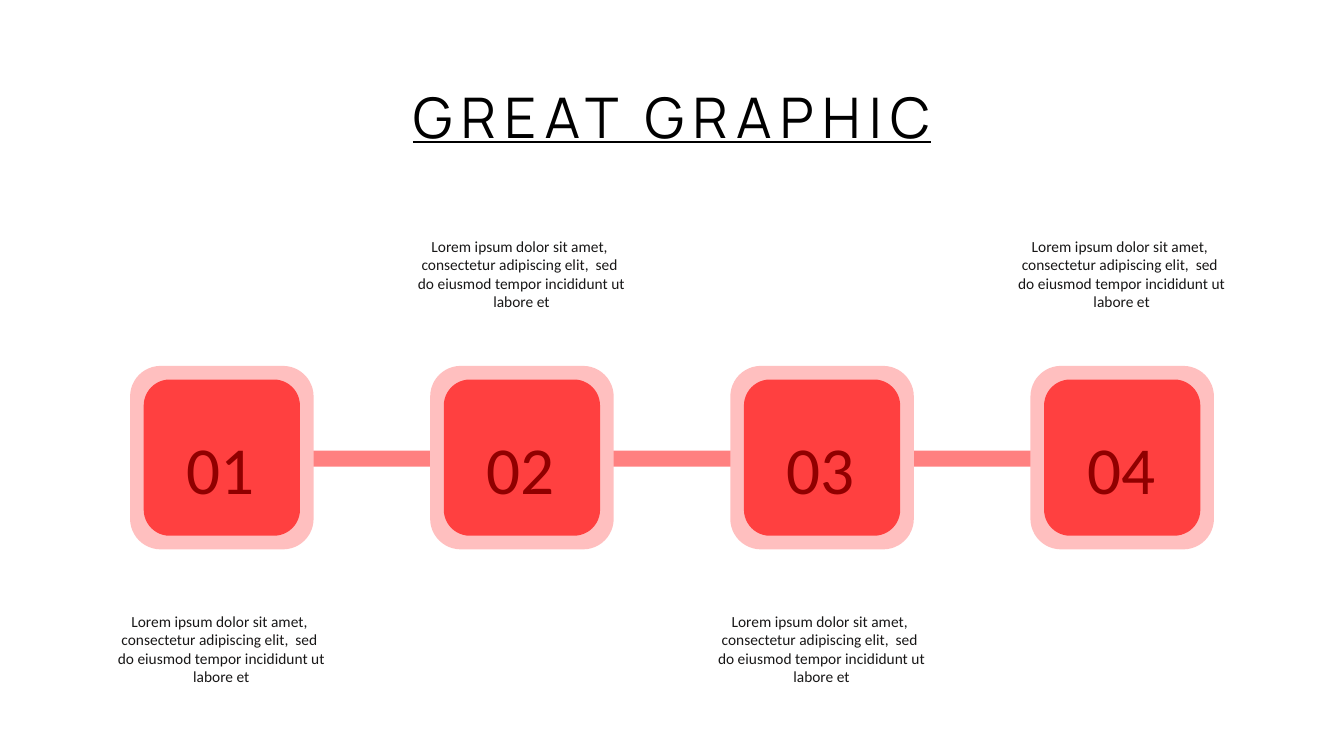
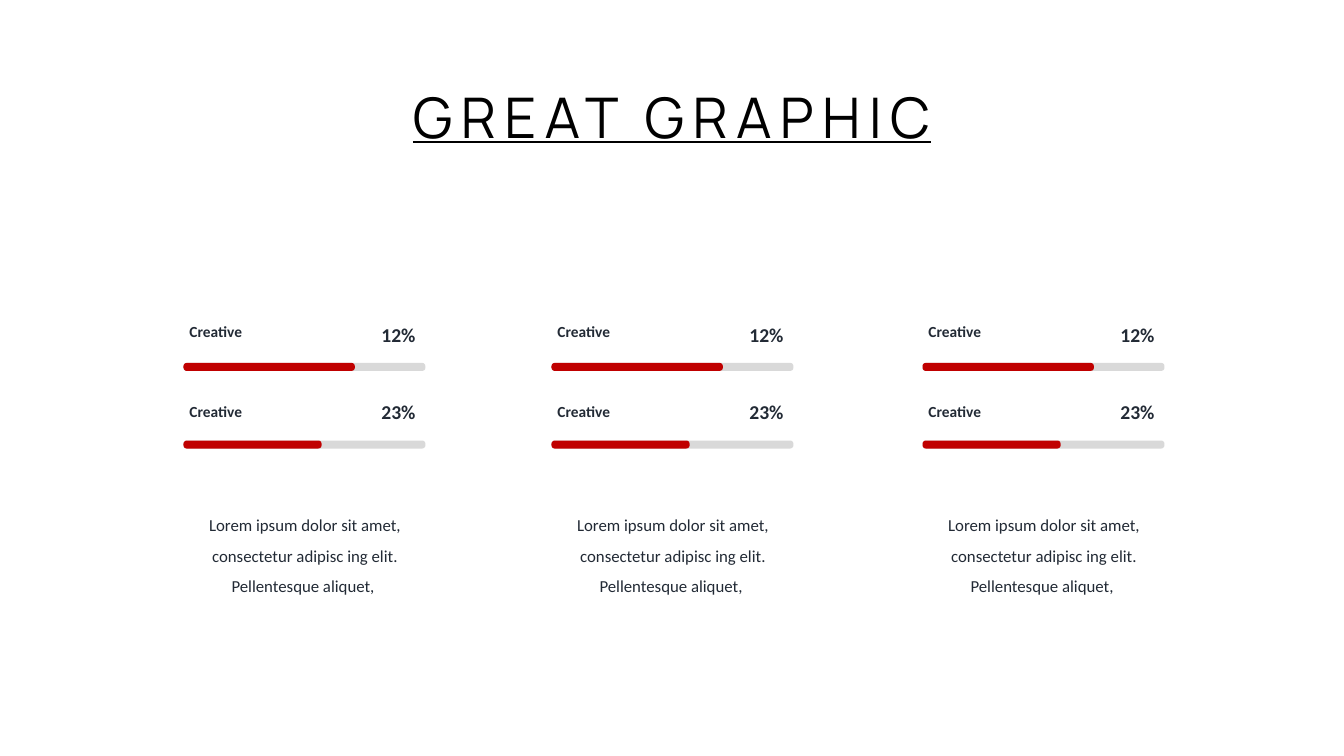
from pptx import Presentation
from pptx.dml.color import RGBColor
from pptx.enum.shapes import MSO_SHAPE as SHAPE
from pptx.enum.text import MSO_AUTO_SIZE as AUTO, PP_ALIGN as ALIGN
from pptx.util import Inches, Pt

BODY_FONT = "Calibri"
TITLE_FONT = "Manrope"
BLACK = "000000"
CAPTION = "181717"
SLATE = "222A35"
NUMBER = "900000"
LINK = "FF8080"
CARD_EDGE = "FFBFBF"
CARD = "FF4040"
TRACK = "D9D9D9"
PROGRESS = "C00000"

STEP_TEXT = [
    "Lorem ipsum dolor sit amet, ",
    "consectetur adipiscing elit,  sed ",
    "do eiusmod tempor incididunt ut",
    "labore et",
]
COLUMN_TEXT = "Lorem ipsum dolor sit amet, consectetur adipisc ing elit. Pellentesque aliquet, "


def rgb(color):
    return RGBColor.from_string(color)


def add_box(s, shape, x, y, w, h, color):
    sp = s.shapes.add_shape(shape, Inches(x), Inches(y), Inches(w), Inches(h))
    sp.shadow.inherit = False
    sp.fill.solid()
    sp.fill.fore_color.rgb = rgb(color)
    sp.line.fill.background()
    return sp


def add_text(s, lines, x, y, w, h, size, color, align=ALIGN.CENTER,
             font=BODY_FONT, bold=False, spacing=None, wrap=True):
    sp = s.shapes.add_textbox(Inches(x), Inches(y), Inches(w), Inches(h))
    tf = sp.text_frame
    tf.word_wrap = wrap
    tf.auto_size = AUTO.SHAPE_TO_FIT_TEXT
    tf.text = "\n".join(lines)
    for p in tf.paragraphs:
        p.alignment = align
        p.line_spacing = spacing
        for r in p.runs:
            r.font.name = font
            r.font.size = Pt(size)
            r.font.bold = bold
            r.font.color.rgb = rgb(color)
    return tf


def add_title(s, text):
    tf = add_text(s, [text], 3.78, 0.77, 5.77, 0.77, 40, BLACK,
                  font=TITLE_FONT, wrap=False)
    r = tf.paragraphs[0].runs[0]
    r.font.underline = True
    r.font._element.set("spc", "600")


def add_step(s, index, x):
    add_box(s, SHAPE.ROUNDED_RECTANGLE, x, 3.63, 1.82, 1.82, CARD_EDGE)
    add_box(s, SHAPE.ROUNDED_RECTANGLE, x + 0.135, 3.765, 1.55, 1.55, CARD)
    add_text(s, [f"{index + 1:02}"], x + 0.3, 4.19, 1.2, 0.94, 48, NUMBER)
    caption_top = 2.3 if index % 2 else 6.02
    add_text(s, STEP_TEXT, x - 0.87, caption_top, 3.55, 0.84, 11, CAPTION)


def add_bar(s, x, y, w, color):
    sp = add_box(s, SHAPE.ROUNDED_RECTANGLE, x, y, w, 0.08, color)
    sp.adjustments[0] = 0.4


def add_progress(s, x, label_top, value_top, bar_top, value, filled):
    add_text(s, ["Creative"], x - 0.04, label_top, 1.43, 0.29, 11, SLATE,
             align=ALIGN.LEFT, bold=True)
    add_text(s, [value], x + 1.7, value_top, 0.7, 0.34, 14, SLATE,
             align=ALIGN.RIGHT, bold=True)
    add_bar(s, x, bar_top, 2.4, TRACK)
    add_bar(s, x, bar_top, filled, PROGRESS)


def build_steps(s):
    add_box(s, SHAPE.RECTANGLE, 1.43, 4.47, 10.48, 0.16, LINK)
    first, last, count = 1.29, 10.22, 4
    pitch = (last - first) / (count - 1)
    for i in range(count):
        add_step(s, i, first + i * pitch)


def build_progress(s):
    rows = [
        (3.15, 3.15, 3.6, "12%", 1.7),
        (3.94, 3.92, 4.37, "23%", 1.37),
    ]
    for x in (1.82, 5.47, 9.15):
        for row in rows:
            add_progress(s, x, *row)
        add_text(s, [COLUMN_TEXT], x - 0.17, 4.96, 2.75, 0.98, 12, SLATE, spacing=1.5)


def main():
    prs = Presentation()
    prs.slide_width = Inches(13.33)
    prs.slide_height = Inches(7.5)
    for build in (build_steps, build_progress):
        s = prs.slides.add_slide(prs.slide_layouts[6])
        add_title(s, "GREAT GRAPHIC")
        build(s)
    prs.save("out.pptx")


if __name__ == "__main__":
    main()
